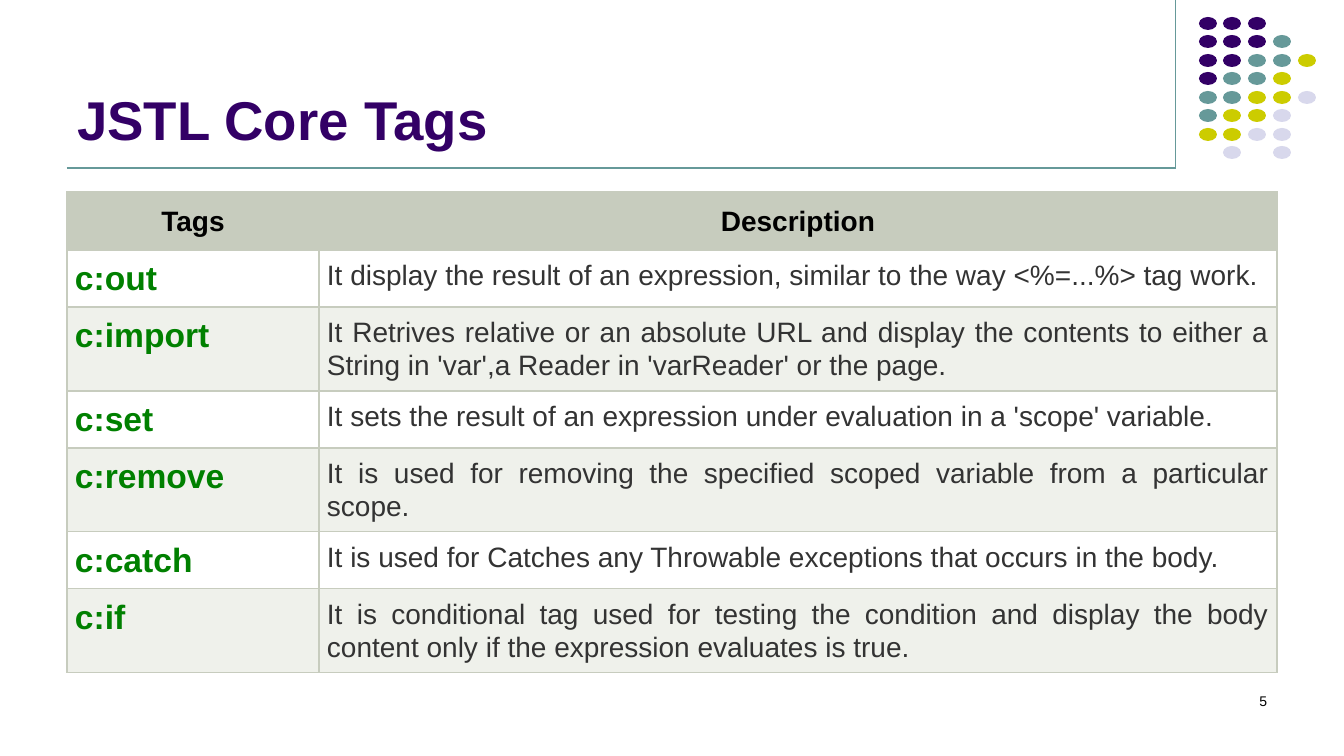
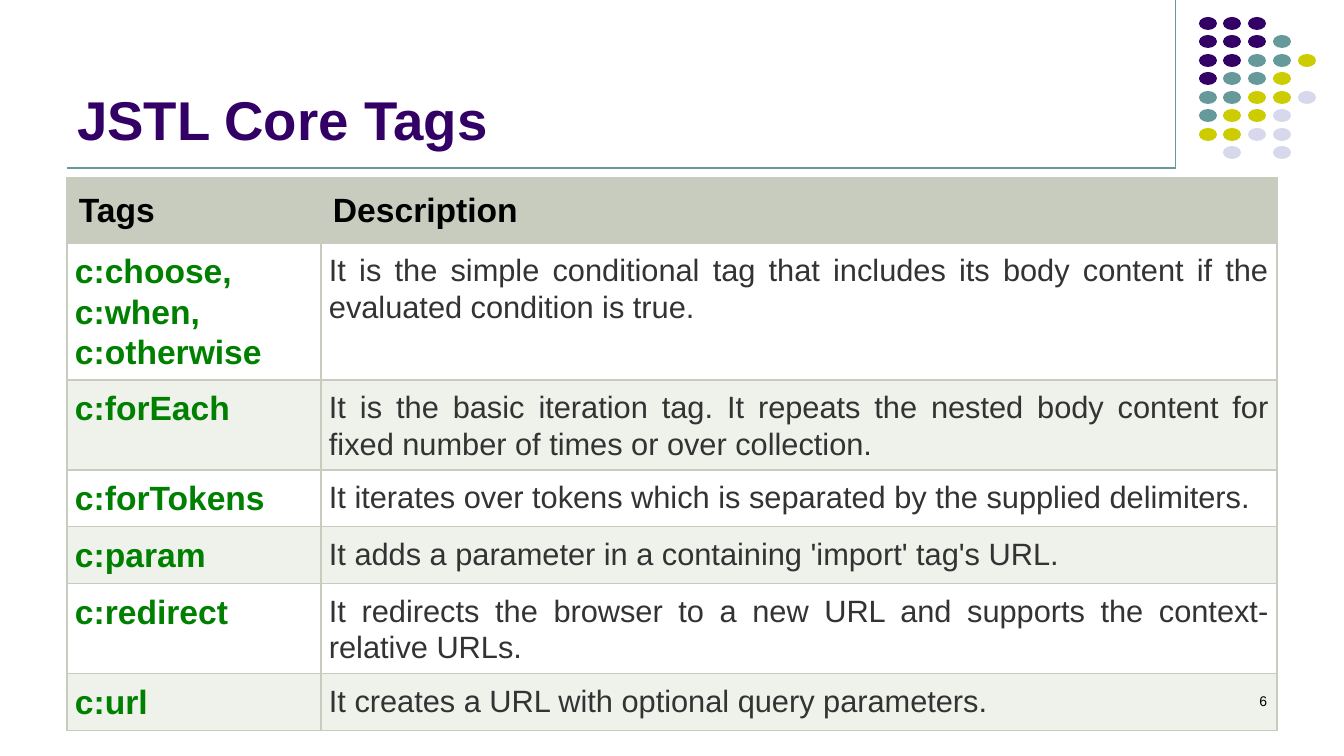
import pptx
import pptx.util
import pptx.dml.color
import pptx.enum.shapes
import pptx.enum.text
import pptx.oxml
import pptx.oxml.ns
import lxml.etree

PX = 12700 * 72 / 100.8
FONT = "Arial"
COLORS = {
    "purple": "330066",
    "teal": "669999",
    "lime": "CCCC00",
    "lavender": "D8D8EC",
    "header": "C7CCBE",
    "band": "EFF1EB",
    "white": "FFFFFF",
    "tag": "008000",
    "description": "333333",
    "black": "000000",
}
DOT_COLORS = {"P": "purple", "T": "teal", "L": "lime", "V": "lavender"}
DOT_ROWS = ["PPP", "PPPT", "PPTTL", "PTTL", "TTLLV", "TLLV", "LLVV", " V V"]
RULES = [(1176, 0, 1176, 168), (67, 168, 1176, 168)]
ALIGN = pptx.enum.text.PP_ALIGN

TABLES = [
    {
        "number": "5",
        "top": 192,
        "columns": [252, 958],
        "heights": [58, 57, 84, 57, 84, 57, 84],
        "header_align": ALIGN.CENTER,
        "header_size": 20,
        "description_size": 20,
        "rows": [
            ("c:out", "It display the result of an expression, similar to the way <%=...%> tag work."),
            ("c:import", "It Retrives relative or an absolute URL and display the contents to either a "
                         "String in 'var',a Reader in 'varReader' or the page."),
            ("c:set", "It sets the result of an expression under evaluation in a 'scope' variable."),
            ("c:remove", "It is used for removing the specified scoped variable from a particular scope."),
            ("c:catch", "It is used for Catches any Throwable exceptions that occurs in the body."),
            ("c:if", "It is conditional tag used for testing the condition and display the body "
                     "content only if the expression evaluates is true."),
        ],
    },
    {
        "number": "6",
        "top": 178,
        "columns": [254, 956],
        "heights": [65, 137, 90, 57, 57, 90, 57],
        "header_align": ALIGN.LEFT,
        "header_size": 24,
        "description_size": 22,
        "rows": [
            ("c:choose, c:when, c:otherwise", "It is the simple conditional tag that includes its body "
                                              "content if the evaluated condition is true."),
            ("c:forEach", "It is the basic iteration tag. It repeats the nested body content for "
                          "fixed number of times or over collection."),
            ("c:forTokens", "It iterates over tokens which is separated by the supplied delimiters."),
            ("c:param", "It adds a parameter in a containing 'import' tag's URL."),
            ("c:redirect", "It redirects the browser to a new URL and supports the context-relative URLs."),
            ("c:url", "It creates a URL with optional query parameters."),
        ],
    },
]


def px(*lengths):
    return [pptx.util.Emu(round(length * PX)) for length in lengths]


def style_paragraph(paragraph, size, color, bold, align):
    paragraph.alignment = align
    paragraph.font.name = FONT
    paragraph.font.size = pptx.util.Pt(size)
    paragraph.font.bold = bold
    paragraph.font.color.rgb = pptx.dml.color.RGBColor.from_string(COLORS[color])


presentation = pptx.Presentation()
presentation.slide_width, presentation.slide_height = px(1344, 756)

for content in TABLES:
    slide = presentation.slides.add_slide(presentation.slide_layouts[5])

    for rule in RULES:
        connector = slide.shapes.add_connector(pptx.enum.shapes.MSO_CONNECTOR.STRAIGHT, *px(*rule))
        connector.line.color.rgb = pptx.dml.color.RGBColor.from_string(COLORS["teal"])
        connector.line.width = pptx.util.Pt(0.75)
        lxml.etree.SubElement(connector.element.spPr, pptx.oxml.ns.qn("a:effectLst"))

    dots = slide.shapes.add_group_shape()
    for row, letters in enumerate(DOT_ROWS):
        for column, letter in enumerate(letters):
            if letter == " ":
                continue
            position = px(1199 + column * 99 // 4, 17 + row * 37 // 2, 18, 13)
            dot = dots.shapes.add_shape(pptx.enum.shapes.MSO_SHAPE.OVAL, *position)
            dot.shadow.inherit = False
            dot.fill.solid()
            dot.fill.fore_color.rgb = pptx.dml.color.RGBColor.from_string(COLORS[DOT_COLORS[letter]])
            dot.line.fill.background()

    title = slide.shapes.title
    title.left, title.top, title.width, title.height = px(67, 13, 1109, 143)
    title.text_frame.text = "JSTL Core Tags"
    title.text_frame.vertical_anchor = pptx.enum.text.MSO_ANCHOR.BOTTOM
    title.text_frame.auto_size = pptx.enum.text.MSO_AUTO_SIZE.NONE
    style_paragraph(title.text_frame.paragraphs[0], 39, "purple", True, ALIGN.LEFT)

    rows = [("Tags", "Description")] + content["rows"]
    frame = slide.shapes.add_table(
        len(rows), 2, *px(67, content["top"], sum(content["columns"]), sum(content["heights"])))
    table = frame.table
    table.first_row = False
    table.horz_banding = False
    for column, width in zip(table.columns, px(*content["columns"])):
        column.width = width
    for row, height in zip(table.rows, px(*content["heights"])):
        row.height = height

    for row, texts in enumerate(rows):
        for column, text in enumerate(texts):
            cell = table.cell(row, column)
            cell.text = text
            paragraph = cell.text_frame.paragraphs[0]
            paragraph.line_spacing = 1.07
            paragraph.space_after = pptx.util.Pt(8)
            if row == 0:
                margin, fill = 12, "header"
                style_paragraph(paragraph, content["header_size"], "black", True, content["header_align"])
            else:
                margin, fill = 8, "white" if row % 2 else "band"
                if column == 0:
                    style_paragraph(paragraph, 24, "tag", True, ALIGN.JUSTIFY)
                else:
                    style_paragraph(paragraph, content["description_size"], "description", False, ALIGN.JUSTIFY)
            cell.margin_left, cell.margin_top, cell.margin_right, cell.margin_bottom = px(*[margin] * 4)
            cell.fill.solid()
            cell.fill.fore_color.rgb = pptx.dml.color.RGBColor.from_string(COLORS[fill])
            properties = cell._tc.get_or_add_tcPr()
            for index, side in enumerate(["lnL", "lnR", "lnT", "lnB"]):
                properties.insert(index, pptx.oxml.parse_xml(
                    f'<a:{side} {pptx.oxml.ns.nsdecls("a")} w="12700"><a:solidFill>'
                    f'<a:srgbClr val="{COLORS["header"]}"/></a:solidFill></a:{side}>'))

    number = slide.shapes.add_textbox(*px(964, 688, 313, 50))
    number.text_frame.word_wrap = True
    number.text_frame.text = content["number"]
    style_paragraph(number.text_frame.paragraphs[0], 10, "black", False, ALIGN.RIGHT)

presentation.save("out.pptx")
